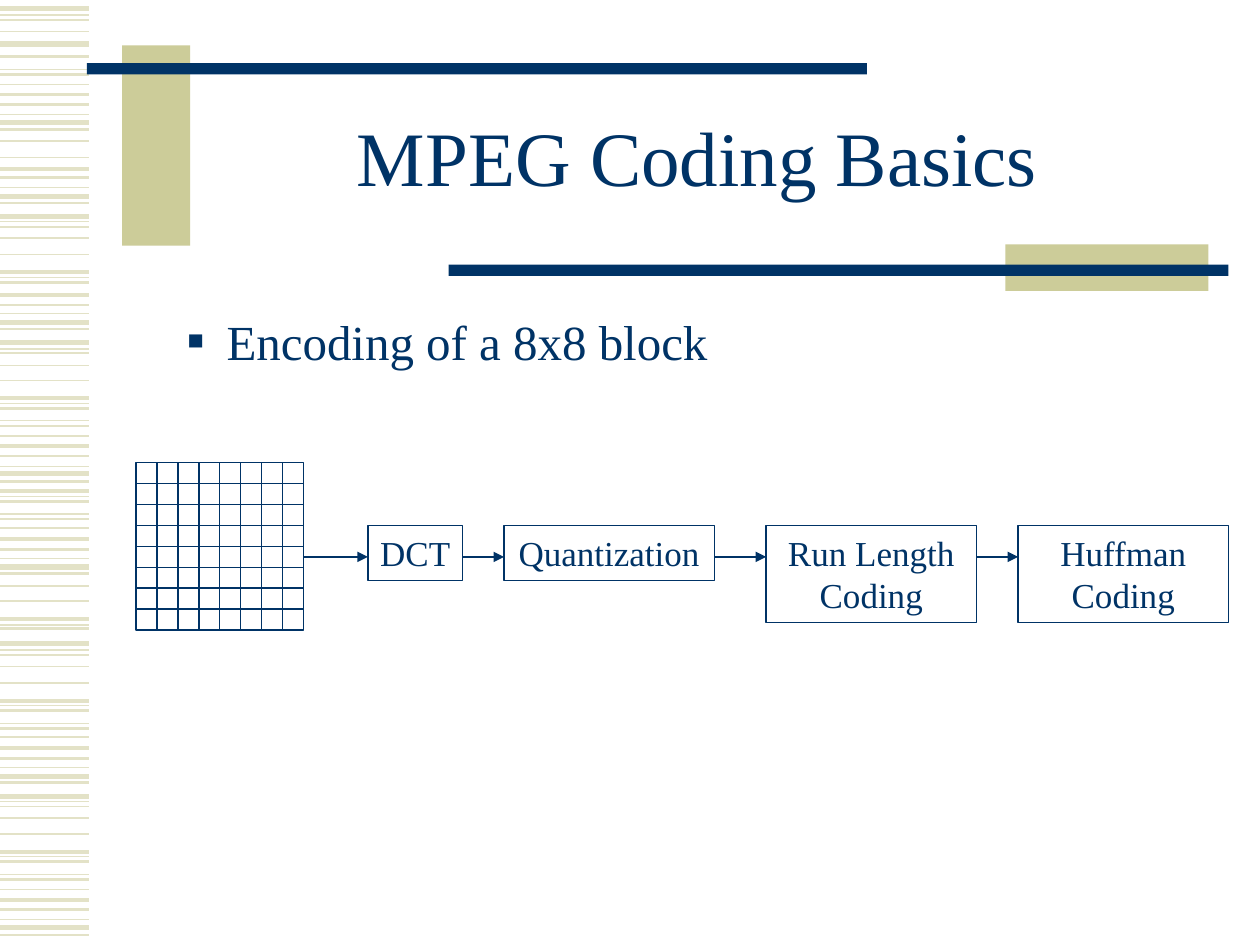
from lxml.etree import SubElement
from pptx import Presentation
from pptx.dml.color import RGBColor
from pptx.enum.shapes import MSO_CONNECTOR, MSO_SHAPE
from pptx.enum.text import MSO_ANCHOR, MSO_AUTO_SIZE, PP_ALIGN
from pptx.oxml.ns import qn
from pptx.util import Inches, Pt

NAVY = RGBColor(0x00, 0x33, 0x66)
KHAKI = RGBColor(0xCC, 0xCC, 0x99)
PALE_KHAKI = RGBColor(0xE3, 0xE2, 0xC7)
WHITE = RGBColor(0xFF, 0xFF, 0xFF)
FONT = "Times New Roman"
THIN = 0.74

# Heights of the margin stripes, by line width in points.
STRIPES = {
    3: (0.07, 0.35, 0.97, 1.56, 1.72, 2.56, 2.72, 3.76, 4.5, 5.11, 6.16, 6.32, 7.36),
    2.24: (0.75, 1.34, 2.16, 2.34, 3.16, 3.54, 3.9, 4.28, 4.91, 5.56, 5.94, 6.76,
           7.14),
    1.5: (0.45, 0.59, 0.83, 1.03, 1.41, 1.61, 2.24, 2.42, 2.61, 3.24, 3.38, 3.62,
          3.82, 3.98, 4.12, 4.36, 4.55, 4.99, 5.64, 5.78, 6.02, 6.21, 6.84, 6.98,
          7.22, 7.42),
    0.99: (0.16, 0.25, 0.67, 1.12, 1.25, 1.8, 1.89, 2.02, 2.8, 2.9, 3.02, 3.46,
           4.19, 4.65, 4.77, 5.2, 5.29, 5.42, 5.85, 6.4, 6.49, 6.62, 7.06),
    THIN: (0.12, 0.55, 0.91, 1.49, 1.76, 2.2, 2.49, 2.77, 3.2, 3.34, 3.7, 3.94,
           4.08, 4.43, 4.96, 5.16, 5.6, 5.74, 6.09, 6.36, 6.8, 6.94, 7.3),
}

GRID_LEFT, GRID_TOP, GRID_SIZE, GRID_CELLS = 1.08, 3.67, 1.33, 8
STEP_TOP, ARROW_HEIGHT, STEP_INSET = 4.17, 4.42, 0.05
# Label, left, width, height.
STEPS = (
    ("DCT", 2.92, 0.75, 0.44),
    ("Quantization", 4, 1.67, 0.44),
    ("Run Length Coding", 6.08, 1.67, 0.77),
    ("Huffman Coding", 8.08, 1.67, 0.77),
)


def add_line(shapes, start, end, color=NAVY, width=THIN, arrow=False):
    """Draw a straight line, with an arrowhead at its end if asked."""
    points = [Inches(value) for value in (*start, *end)]
    line = shapes.add_connector(MSO_CONNECTOR.STRAIGHT, *points)
    line.line.color.rgb = color
    line.line.width = Pt(width)
    if arrow:
        SubElement(line.line._get_or_add_ln(), qn("a:tailEnd"), type="triangle")
    SubElement(line._element.spPr, qn("a:effectLst"))


def add_rectangle(shapes, left, top, width, height, fill=None, outline=None):
    """Draw a rectangle without shadow and return it."""
    bounds = [Inches(value) for value in (left, top, width, height)]
    shape = shapes.add_shape(MSO_SHAPE.RECTANGLE, *bounds)
    shape.shadow.inherit = False
    if fill is None:
        shape.fill.background()
    else:
        shape.fill.solid()
        shape.fill.fore_color.rgb = fill
    if outline is None:
        shape.line.fill.background()
    else:
        shape.line.color.rgb = outline
        shape.line.width = Pt(THIN)
    return shape


def write_text(shape, text, size, align=PP_ALIGN.LEFT, anchor=MSO_ANCHOR.TOP,
               inset=0.1, spacing=None, before=None):
    """Put one formatted paragraph in a shape and return the paragraph."""
    frame = shape.text_frame
    frame.word_wrap = True
    frame.auto_size = MSO_AUTO_SIZE.NONE
    frame.vertical_anchor = anchor
    frame.margin_left = frame.margin_right = Inches(inset)
    paragraph = frame.paragraphs[0]
    paragraph.alignment = align
    if spacing is not None:
        paragraph.line_spacing = spacing
    if before is not None:
        paragraph.space_before = Pt(before)
    run = paragraph.add_run()
    run.text = text
    run.font.name = FONT
    run.font.size = Pt(size)
    run.font.color.rgb = NAVY
    return paragraph


def add_text_box(shapes, left, top, width, height, text, size, **text_format):
    """Add a text box and return its paragraph."""
    bounds = [Inches(value) for value in (left, top, width, height)]
    return write_text(shapes.add_textbox(*bounds), text, size, **text_format)


def add_square_bullet(paragraph, margin, indent):
    """Give a paragraph a small square bullet and a hanging indent."""
    properties = paragraph._p.get_or_add_pPr()
    properties.set("marL", str(Inches(margin)))
    properties.set("indent", str(Inches(indent)))
    color = SubElement(properties, qn("a:buClr"))
    SubElement(color, qn("a:srgbClr"), val=str(NAVY))
    SubElement(properties, qn("a:buSzPct"), val="55000")
    SubElement(properties, qn("a:buFont"), typeface=FONT)
    SubElement(properties, qn("a:buChar"), char="\u25a0")


def add_decoration(slide):
    """Draw the striped margin and the bars around the title."""
    stripes = slide.shapes.add_group_shape().shapes
    for width, heights in STRIPES.items():
        for height in heights:
            add_line(stripes, (0, height), (0.71, height), PALE_KHAKI, width)
    bars = slide.shapes.add_group_shape().shapes
    add_rectangle(bars, 0.97, 0.36, 0.54, 1.59, KHAKI)
    add_rectangle(bars, 0.69, 0.5, 6.19, 0.09, NAVY)
    add_rectangle(bars, 7.98, 1.94, 1.61, 0.37, KHAKI)
    add_rectangle(bars, 3.56, 2.1, 6.19, 0.09, NAVY)


def add_block_grid(slide):
    """Draw the block of 8 by 8 cells."""
    shapes = slide.shapes.add_group_shape().shapes
    add_rectangle(shapes, GRID_LEFT, GRID_TOP, GRID_SIZE, GRID_SIZE, WHITE, NAVY)
    right, bottom = GRID_LEFT + GRID_SIZE, GRID_TOP + GRID_SIZE
    for index in range(1, GRID_CELLS):
        offset = index * GRID_SIZE / GRID_CELLS
        row, column = GRID_TOP + offset, GRID_LEFT + offset
        add_line(shapes, (GRID_LEFT, row), (right, row))
        add_line(shapes, (column, bottom), (column, GRID_TOP))


def add_coding_steps(slide):
    """Draw the coding steps, each with an arrow from the element before it."""
    previous_right = GRID_LEFT + GRID_SIZE
    for label, left, width, height in STEPS:
        box = add_rectangle(slide.shapes, left, STEP_TOP, width, height, outline=NAVY)
        write_text(box, label, 20, align=PP_ALIGN.CENTER, inset=STEP_INSET)
        add_line(slide.shapes, (previous_right, ARROW_HEIGHT), (left, ARROW_HEIGHT),
                 arrow=True)
        previous_right = left + width


def main():
    """Build the slide and save it."""
    presentation = Presentation()
    presentation.slide_width = Inches(10)
    presentation.slide_height = Inches(7.5)
    slide = presentation.slides.add_slide(presentation.slide_layouts[6])
    add_decoration(slide)
    add_text_box(slide.shapes, 1.5, 0.67, 8.07, 1.25, "MPEG Coding Basics", 44,
                 align=PP_ALIGN.CENTER, anchor=MSO_ANCHOR.MIDDLE, spacing=0.85)
    topic = add_text_box(slide.shapes, 0.89, 2.42, 8.7, 0.74,
                         "Encoding of a 8x8 block", 28, before=7)
    add_square_bullet(topic, 0.81, -0.31)
    add_block_grid(slide)
    add_coding_steps(slide)
    presentation.save("out.pptx")


main()
